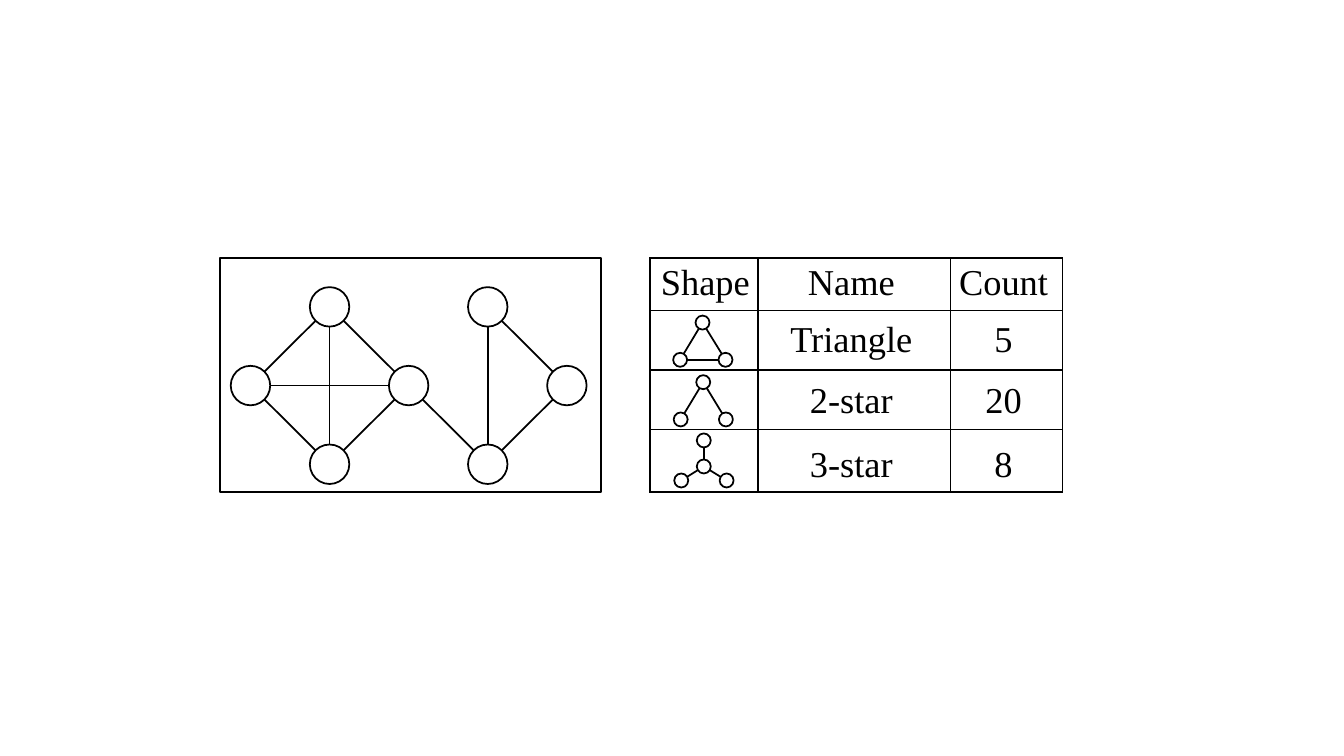
import math
from dataclasses import dataclass

import pptx
import pptx.dml.color
import pptx.enum.shapes
import pptx.enum.text
import pptx.oxml
import pptx.oxml.ns
import pptx.util
from pptx.util import Pt


@dataclass(frozen=True)
class Theme:
    ink: pptx.dml.color.RGBColor = pptx.dml.color.RGBColor(0, 0, 0)
    paper: pptx.dml.color.RGBColor = pptx.dml.color.RGBColor(255, 255, 255)
    font: str = "Times New Roman"
    text_size: float = 26
    line_width: float = 1.25


theme = Theme()

presentation = pptx.Presentation()
presentation.slide_width = Pt(960)
presentation.slide_height = Pt(540)
slide = presentation.slides.add_slide(presentation.slide_layouts[6])


def add_outlined(shapes, preset, left, top, width, height):
    shape = shapes.add_shape(preset, Pt(left), Pt(top), Pt(width), Pt(height))
    shape.shadow.inherit = False
    shape.fill.solid()
    shape.fill.fore_color.rgb = theme.paper
    shape.line.color.rgb = theme.ink
    shape.line.width = Pt(theme.line_width)


def draw_graph(nodes, edges, radius):
    """Group circles at the node centres with edges running from rim to rim."""
    shapes = slide.shapes.add_group_shape().shapes
    for x, y in nodes.values():
        add_outlined(shapes, pptx.enum.shapes.MSO_SHAPE.OVAL,
                     x - radius, y - radius, 2 * radius, 2 * radius)
    for start, end in edges:
        (x1, y1), (x2, y2) = nodes[start], nodes[end]
        angle = math.atan2(y2 - y1, x2 - x1)
        dx, dy = radius * math.cos(angle), radius * math.sin(angle)
        connector = shapes.add_connector(
            pptx.enum.shapes.MSO_CONNECTOR.STRAIGHT,
            Pt(x1 + dx), Pt(y1 + dy), Pt(x2 - dx), Pt(y2 - dy))
        connector.line.color.rgb = theme.ink
        connector.line.width = Pt(theme.line_width)
        properties = connector._element.spPr
        properties.append(properties.makeelement(pptx.oxml.ns.qn("a:effectLst"), {}))


# Example graph in its frame, nodes on a regular grid of (column, row)
add_outlined(slide.shapes, pptx.enum.shapes.MSO_SHAPE.RECTANGLE, 157, 184.3, 272.2, 167)
grid = {"A": (1, 0), "B": (0, 1), "C": (1, 2), "D": (2, 1),
        "E": (3, 0), "F": (3, 2), "G": (4, 1)}
graph_nodes = {name: (178.9 + 56.5 * column, 219.2 + 56.2 * row)
               for name, (column, row) in grid.items()}
draw_graph(graph_nodes, ["AB", "AC", "AD", "BC", "BD", "CD", "DF", "EF", "EG", "FG"], 14.1)

# Table of counts
rows = [("Shape", "Name", "Count"), ("", "Triangle", "5"),
        ("", "2-star", "20"), ("", "3-star", "8")]
column_widths = [77, 137.5, 80]
row_heights = [37.5, 42.5, 42.5, 44.5]
text_drops = [-2, 0, 2, 6]
table = slide.shapes.add_table(len(rows), len(column_widths), Pt(464.4), Pt(184.3),
                               Pt(sum(column_widths)), Pt(sum(row_heights))).table
table.first_row = False
table.horz_banding = False
for column, width in zip(table.columns, column_widths):
    column.width = Pt(width)

for row_index, texts in enumerate(rows):
    table.rows[row_index].height = Pt(row_heights[row_index])
    drop = text_drops[row_index]
    for column_index, text in enumerate(texts):
        cell = table.cell(row_index, column_index)
        cell.text = text
        cell.vertical_anchor = pptx.enum.text.MSO_ANCHOR.MIDDLE
        cell.margin_left = Pt(2 if column_index == 0 else 0)
        cell.margin_right = Pt(0 if column_index == 0 else 4)
        cell.margin_top = Pt(max(drop, 0))
        cell.margin_bottom = Pt(max(-drop, 0))
        paragraph = cell.text_frame.paragraphs[0]
        paragraph.alignment = pptx.enum.text.PP_ALIGN.CENTER
        paragraph.font.name = theme.font
        paragraph.font.size = Pt(theme.text_size)
        paragraph.font.color.rgb = theme.ink
        cell_properties = cell._tc.get_or_add_tcPr()
        for side in ("lnL", "lnR", "lnT", "lnB"):
            cell_properties.append(pptx.oxml.parse_xml(
                f'<a:{side} {pptx.oxml.ns.nsdecls("a")} w="{Pt(theme.line_width)}">'
                f'<a:solidFill><a:srgbClr val="{theme.ink}"/></a:solidFill></a:{side}>'))
        cell.fill.background()

# Small shapes in the first column: top, left, right and middle nodes
motifs = [
    ({"T": (501.8, 230.4), "L": (485.8, 257), "R": (518.2, 257)}, ["TL", "TR", "LR"]),
    ({"T": (502.3, 273), "L": (486.2, 299.6), "R": (518.5, 299.6)}, ["TL", "TR"]),
    ({"T": (502.7, 314.6), "M": (502.7, 333.2), "L": (486.6, 343.2), "R": (519, 343.2)},
     ["MT", "ML", "MR"]),
]
for motif_nodes, motif_edges in motifs:
    draw_graph(motif_nodes, motif_edges, 5)

presentation.save("out.pptx")
